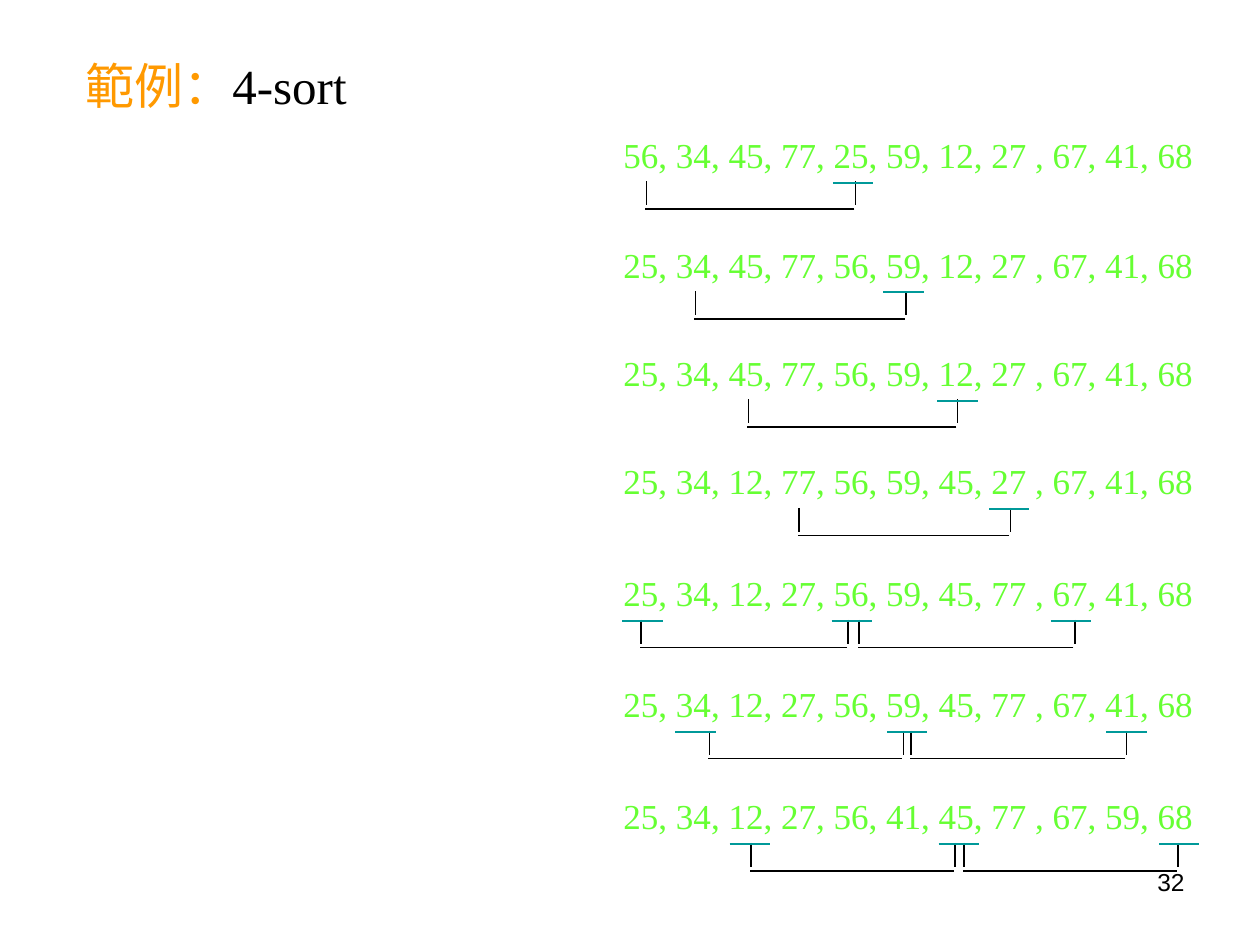
from lxml import etree
from pptx import Presentation
from pptx.dml.color import RGBColor
from pptx.enum import shapes, text
from pptx.oxml import ns
from pptx.util import Inches, Pt

COLORS = {"label": "FF9900", "ink": "000000", "list": "66FF33", "mark": "009999"}

ROWS = [
    (1.01, "56, 34, 45, 77, 25, 59, 12, 27 , 67, 41, 68", [(5.13, 6.79)], [6.61]),
    (1.88, "25, 34, 45, 77, 56, 59, 12, 27 , 67, 41, 68", [(5.52, 7.19)], [7.01]),
    (2.74, "25, 34, 45, 77, 56, 59, 12, 27 , 67, 41, 68", [(5.94, 7.6)], [7.44]),
    (3.6, "25, 34, 12, 77, 56, 59, 45, 27 , 67, 41, 68", [(6.34, 8.02)], [7.85]),
    (4.49, "25, 34, 12, 27, 56, 59, 45, 77 , 67, 41, 68",
     [(5.09, 6.73), (6.82, 8.53)], [4.94, 6.6, 8.34]),
    (5.37, "25, 34, 12, 27, 56, 59, 45, 77 , 67, 41, 68",
     [(5.63, 7.17), (7.23, 8.94)], [5.36, 7.04, 8.78]),
    (6.26, "25, 34, 12, 27, 56, 41, 45, 77 , 67, 59, 68",
     [(5.96, 7.58), (7.65, 9.35)], [5.79, 7.45, 9.2]),
]


def style(font, name, size, color):
    font.name = name
    font.size = Pt(size)
    font.color.rgb = RGBColor.from_string(COLORS[color])


def draw(group, x1, y1, x2, y2, color):
    line = group.shapes.add_connector(
        shapes.MSO_CONNECTOR.STRAIGHT, Inches(x1), Inches(y1), Inches(x2), Inches(y2))
    line.line.width = Pt(1)
    line.line.color.rgb = RGBColor.from_string(COLORS[color])
    etree.SubElement(line._element.spPr, ns.qn("a:effectLst"))


deck = Presentation()
deck.slide_width = Inches(10)
deck.slide_height = Inches(7.5)
slide = deck.slides.add_slide(deck.slide_layouts[5])

title = slide.shapes.title
title.left, title.top = Inches(0.58), Inches(0.39)
title.width, title.height = Inches(2.37), Inches(0.57)
frame = title.text_frame
frame.word_wrap = False
frame.auto_size = text.MSO_AUTO_SIZE.NONE
frame.vertical_anchor = text.MSO_ANCHOR.TOP
para = frame.paragraphs[0]
para.alignment = text.PP_ALIGN.LEFT
label = para.add_run()
label.text = "範例："
style(label.font, "Noto Sans CJK JP", 28, "label")
east = etree.SubElement(label.font._element, ns.qn("a:ea"))
east.set("typeface", "Noto Sans CJK JP")
name = para.add_run()
name.text = "4-sort"
style(name.font, "Times New Roman", 28, "ink")

for top, items, pairs, marks in ROWS:
    group = slide.shapes.add_group_shape()
    box = group.shapes.add_textbox(Inches(4.85), Inches(top), Inches(4.73), Inches(0.43))
    box.text_frame.word_wrap = False
    para = box.text_frame.paragraphs[0]
    para.text = items
    style(para.font, "Times New Roman", 20, "list")
    for left, right in pairs:
        for x in (left, right):
            draw(group, x, top + 0.43, x, top + 0.62, "ink")
        draw(group, right - 0.01, top + 0.65, left - 0.01, top + 0.65, "ink")
    for x in marks:
        draw(group, x, top + 0.44, x + 0.32, top + 0.44, "mark")

page = slide.shapes.add_textbox(Inches(7.17), Inches(6.83), Inches(2.33), Inches(0.52))
page.text_frame.word_wrap = True
para = page.text_frame.paragraphs[0]
para.text = "32"
para.alignment = text.PP_ALIGN.RIGHT
style(para.font, "Arial", 14, "ink")

deck.save("out.pptx")
